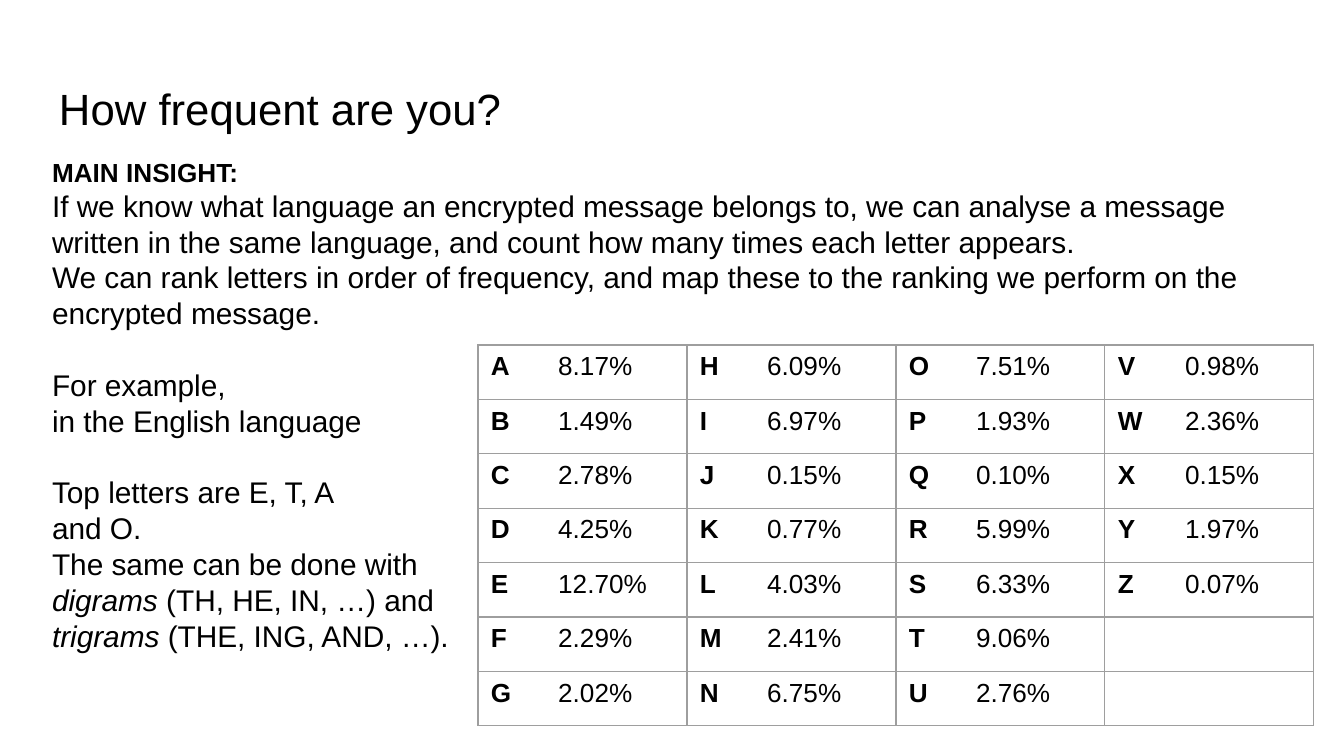
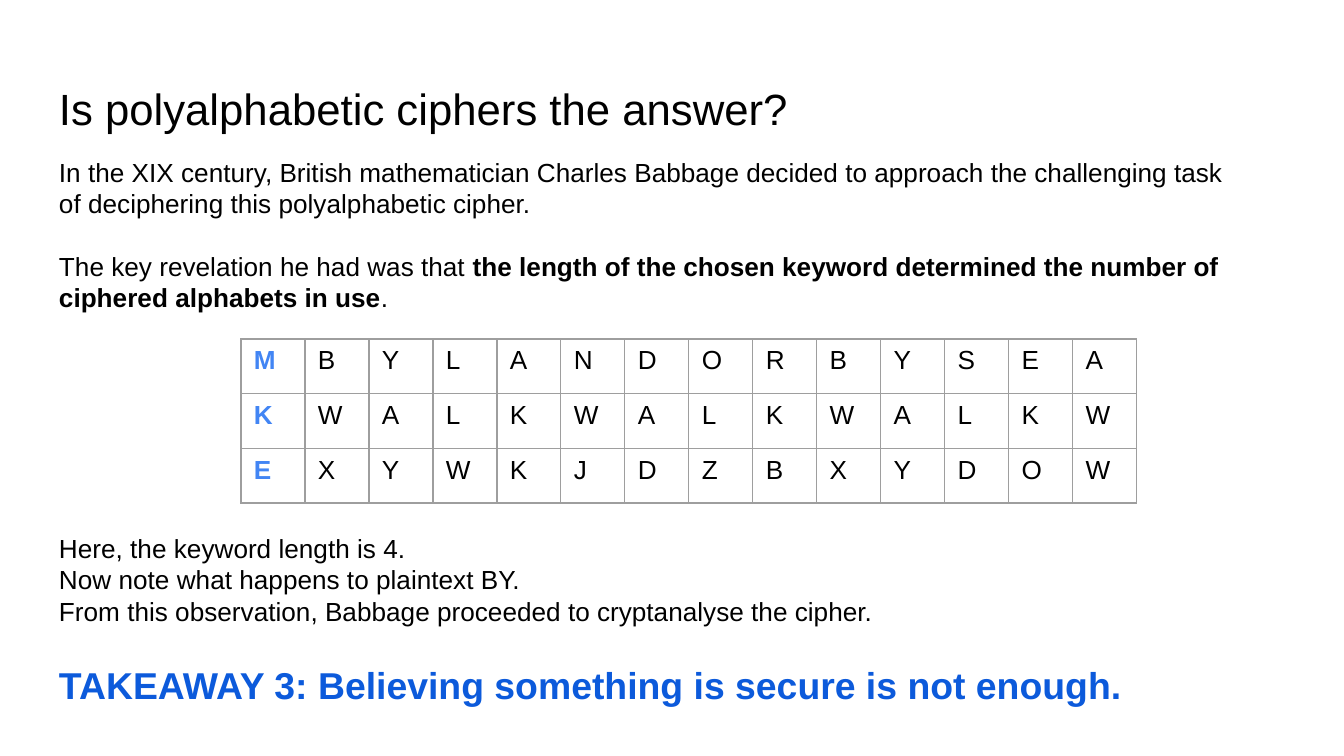
import pptx
import pptx.util
import pptx.dml.color
import pptx.enum.text
import pptx.oxml
import pptx.oxml.ns
import lxml.etree

BLACK, BLUE, NAVY, GREY = "000000", "4285F4", "0C5ADB", "9E9E9E"
FONT = "Arial"
SIZE = (1344, 756)
TITLE = (46, 66, 1252, 84)
PAD = 13
LEAD = 1.2

RATES = """8.17 1.49 2.78 4.25 12.70 2.29 2.02
6.09 6.97 0.15 0.77 4.03 2.41 6.75
7.51 1.93 0.10 5.99 6.33 9.06 2.76
0.98 2.36 0.15 1.97 0.07""".split()
TABS = (77, 66, 73, 76)
ROWS = 7

INTRO = [
    ("MAIN INSIGHT:", {"size": 14, "bold": True}),
    "If we know what language an encrypted message belongs to, we can analyse a message "
    "written in the same language, and count how many times each letter appears.",
    "We can rank letters in order of frequency, and map these to the ranking we perform "
    "on the encrypted message.",
    ("For example,", {"skip": 1}),
    "in the English language",
    ("Top letters are E, T, A", {"skip": 1}),
    "and O.",
    "The same can be done with",
    [("digrams", {"italic": True}), (" (TH, HE, IN, …) and", {})],
    [("trigrams", {"italic": True}), (" (THE, ING, AND, …).", {})],
]

STORY = [
    "In the XIX century, British mathematician Charles Babbage decided to approach the "
    "challenging task of deciphering this polyalphabetic cipher.",
    ([("The key revelation he had was that ", {}),
      ("the length of the chosen keyword determined the number of ciphered alphabets in use",
       {"bold": True}),
      (".", {})], {"skip": 1}),
    ("Here, the keyword length is 4.", {"skip": 7}),
    "Now note what happens to plaintext BY.",
    "From this observation, Babbage proceeded to cryptanalyse the cipher.",
]
CIPHER = ("MBYLANDORBYSEA", "KWALKWALKWALKW", "EXYWKJDZBXYDOW")
LESSON = "TAKEAWAY 3: Believing something is secure is not enough."


def px(n):
    return pptx.util.Emu(round(n * 914400 / 134.4))


def color(code):
    return pptx.dml.color.RGBColor.from_string(code)


def write(para, text, size=14, fill=BLACK, bold=False, italic=False,
          skip=0, lead=None, left=0, tab=None):
    para.alignment = pptx.enum.text.PP_ALIGN.LEFT
    if lead:
        para.line_spacing = lead
    para.space_before = pptx.util.Pt(skip * size * LEAD)
    props = para._p.get_or_add_pPr()
    props.set("marL", str(px(left)))
    props.set("indent", "0")
    pptx.oxml.ns.qn("a:buNone")
    lxml.etree.SubElement(props, pptx.oxml.ns.qn("a:buNone"))
    if tab:
        tabs = lxml.etree.SubElement(props, pptx.oxml.ns.qn("a:tabLst"))
        lxml.etree.SubElement(tabs, pptx.oxml.ns.qn("a:tab"), pos=str(px(tab)), algn="l")
    parts = [(text, {})] if isinstance(text, str) else text
    for words, style in parts:
        run = para.add_run()
        run.text = words
        font = run.font
        font.name = FONT
        font.size = pptx.util.Pt(size)
        font.bold = style.get("bold", bold)
        font.italic = style.get("italic", italic)
        font.color.rgb = color(style.get("fill", fill))


def place(shape, box, pad=PAD, anchor="TOP"):
    shape.left, shape.top, shape.width, shape.height = map(px, box)
    frame = shape.text_frame
    frame.word_wrap = True
    frame.auto_size = pptx.enum.text.MSO_AUTO_SIZE.NONE
    frame.vertical_anchor = pptx.enum.text.MSO_ANCHOR[anchor]
    frame.margin_left = frame.margin_right = px(PAD)
    frame.margin_top = frame.margin_bottom = px(pad)
    return frame


def start(deck, title, box, items, size):
    slide = deck.slides.add_slide(deck.slide_layouts[1])
    head = place(slide.shapes.title, TITLE, anchor="MIDDLE")
    write(head.paragraphs[0], title, size=23.4)
    body = place(slide.placeholders[1], box, pad=7)
    for n, item in enumerate(items):
        text, style = item if isinstance(item, tuple) else (item, {})
        style = {"size": size, **style}
        para = body.paragraphs[0] if n == 0 else body.add_paragraph()
        write(para, text, lead=pptx.util.Pt(style["size"] * LEAD), **style)
    return slide


def edge(cell):
    props = cell._tc.get_or_add_tcPr()
    for side in ("lnL", "lnR", "lnT", "lnB"):
        line = lxml.etree.SubElement(props, pptx.oxml.ns.qn("a:" + side),
                                     w=str(pptx.util.Pt(0.75)))
        fill = lxml.etree.SubElement(line, pptx.oxml.ns.qn("a:solidFill"))
        lxml.etree.SubElement(fill, pptx.oxml.ns.qn("a:srgbClr"), val=GREY)
    cell.fill.background()


def grid(slide, box, rows):
    high, wide = len(rows), len(rows[0])
    table = slide.shapes.add_table(high, wide, *map(px, box)).table
    table.first_row = table.horz_banding = False
    for col in table.columns:
        col.width = px(box[2] / wide)
    for row, cells in zip(table.rows, rows):
        row.height = px(box[3] / high)
        for cell, (text, style) in zip(row.cells, cells):
            edge(cell)
            cell.margin_left = cell.margin_right = px(PAD)
            cell.margin_top = cell.margin_bottom = px(7)
            write(cell.text_frame.paragraphs[0], text, **style)


def rate(row, col):
    n = col * ROWS + row
    if n >= len(RATES):
        return "", {}
    letter = chr(ord("A") + n)
    return [(letter, {"bold": True}), (f"\t{RATES[n]}%", {})], {"tab": TABS[col]}


def main():
    deck = pptx.Presentation()
    deck.slide_width, deck.slide_height = map(px, SIZE)

    slide = start(deck, "How frequent are you?", (39, 149, 1281, 552), INTRO, 16)
    grid(slide, (478, 345, 836, 381),
         [[rate(r, c) for c in range(len(TABS))] for r in range(ROWS)])

    slide = start(deck, "Is polyalphabetic ciphers the answer?",
                  (46, 149, 1210, 659), STORY, 14)
    key = {"fill": BLUE, "bold": True}
    grid(slide, (241, 339, 896, 164),
         [[(char, {} if n else key) for n, char in enumerate(line)] for line in CIPHER])
    note = place(slide.shapes.add_textbox(0, 0, 0, 0), (30, 642, 1269, 99))
    write(note.paragraphs[0], LESSON, size=20, fill=NAVY, bold=True, lead=1.15, left=16)

    deck.save("out.pptx")


if __name__ == "__main__":
    main()
